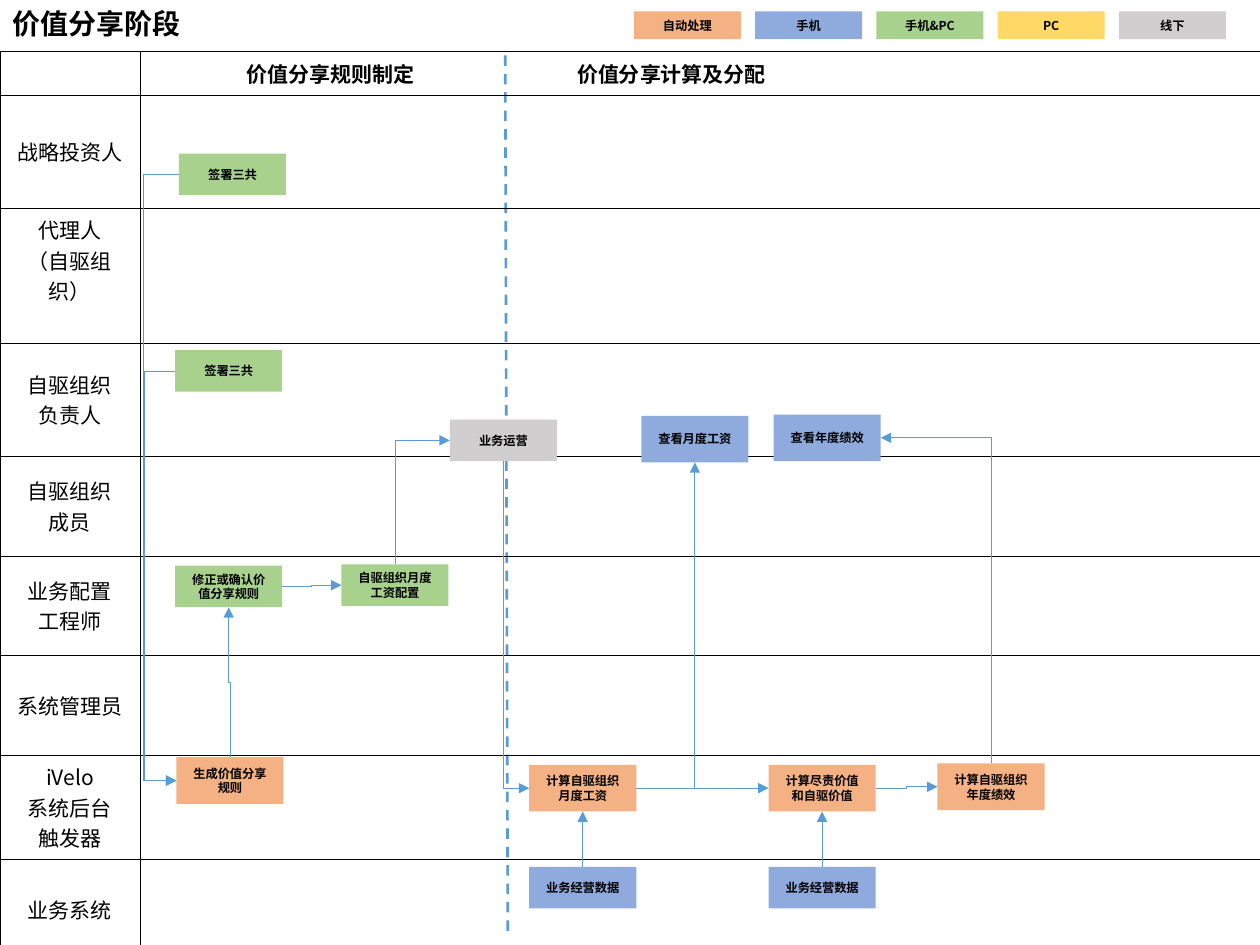
from lxml.etree import SubElement
from pptx import Presentation
from pptx.dml.color import RGBColor
from pptx.enum.dml import MSO_LINE
from pptx.enum.shapes import MSO_CONNECTOR, MSO_SHAPE
from pptx.enum.text import MSO_ANCHOR, PP_ALIGN
from pptx.oxml.ns import qn
from pptx.util import Inches, Pt

FONT = "Noto Sans CJK SC"
COLORS = {"auto": "F4B183", "phone": "8FAADC", "both": "A9D18E", "pc": "FFD966",
          "offline": "D0CECE", "line": "5B9BD5", "text": "000000"}
NODE_WIDTH = 0.85
SITES = {"top": 0, "left": 1, "bottom": 2, "right": 3}

LEGEND = [("自动处理", "auto"), ("手机", "phone"), ("手机&PC", "both"),
          ("PC", "pc"), ("线下", "offline")]
LANES = [(["战略投资人"], 0.9), (["代理人", "（自驱组织）"], 1.07),
         (["自驱组织", "负责人"], 0.9), (["自驱组织", "成员"], 0.79),
         (["业务配置", "工程师"], 0.79), (["系统管理员"], 0.79),
         (["iVelo", "系统后台", "触发器"], 0.83), (["业务系统"], 0.79)]
PHASES = [("价值分享规则制定", 0.75), ("价值分享计算及分配", 3.37)]

# name: (text, colour, left, top, height), measured from the swimlane corner
NODES = {
    "investor_sign": ("签署三共", "both", 1.42, 0.81, 0.33),
    "leader_sign": ("签署三共", "both", 1.39, 2.37, 0.33),
    "confirm_rules": ("修正或确认价值分享规则", "both", 1.39, 4.08, 0.33),
    "create_rules": ("生成价值分享规则", "auto", 1.40, 5.60, 0.37),
    "wage_setup": ("自驱组织月度工资配置", "both", 2.71, 4.07, 0.33),
    "operation": ("业务运营", "offline", 3.57, 2.92, 0.33),
    "monthly_wage": ("计算自驱组织月度工资", "auto", 4.20, 5.66, 0.37),
    "wage_data": ("业务经营数据", "phone", 4.20, 6.47, 0.33),
    "view_wage": ("查看月度工资", "phone", 5.09, 2.89, 0.37),
    "duty_value": ("计算尽责价值和自驱价值", "auto", 6.10, 5.66, 0.37),
    "value_data": ("业务经营数据", "phone", 6.10, 6.47, 0.33),
    "view_result": ("查看年度绩效", "phone", 6.14, 2.88, 0.37),
    "annual_result": ("计算自驱组织年度绩效", "auto", 7.44, 5.65, 0.37),
}
# source, side, target, side, distance of the bend left of the source
LINKS = [
    ("leader_sign", "left", "create_rules", "left", 0.25),
    ("investor_sign", "left", "create_rules", "left", 0.28),
    ("create_rules", "top", "confirm_rules", "bottom", None),
    ("confirm_rules", "right", "wage_setup", "left", None),
    ("wage_setup", "top", "operation", "left", None),
    ("wage_data", "top", "monthly_wage", "bottom", None),
    ("operation", "bottom", "monthly_wage", "left", None),
    ("monthly_wage", "right", "view_wage", "bottom", None),
    ("value_data", "top", "duty_value", "bottom", None),
    ("annual_result", "top", "view_result", "right", None),
    ("monthly_wage", "right", "duty_value", "left", None),
    ("duty_value", "right", "annual_result", "left", None),
]


def add_text(paragraph, text, size, bold=False):
    """Append one formatted run."""
    run = paragraph.add_run()
    run.text = text
    run.font.size, run.font.bold, run.font.name = Pt(size), bold, FONT
    run.font.color.rgb = RGBColor.from_string(COLORS["text"])
    SubElement(run.font._element, qn("a:ea"), typeface=FONT)


def add_node(slide, text, color, left, top, height):
    """Add a coloured process box with its caption."""
    shape = slide.shapes.add_shape(MSO_SHAPE.RECTANGLE, Inches(left), Inches(top),
                                   Inches(NODE_WIDTH), Inches(height))
    shape.shadow.inherit = False
    shape.fill.solid()
    shape.fill.fore_color.rgb = RGBColor.from_string(COLORS[color])
    shape.line.fill.background()
    shape.text_frame.vertical_anchor = MSO_ANCHOR.MIDDLE
    paragraph = shape.text_frame.paragraphs[0]
    paragraph.alignment = PP_ALIGN.CENTER
    add_text(paragraph, text, 7, True)
    return shape


def style_line(connector, width):
    """Give a connector its colour and width, without shadow."""
    connector.line.color.rgb = RGBColor.from_string(COLORS["line"])
    connector.line.width = Pt(width)
    SubElement(connector.element.spPr, qn("a:effectLst"))


def add_title(slide, left, top, width, height):
    """Place the slide title."""
    title = slide.shapes.title
    title.left, title.top = Inches(left), Inches(top)
    title.width, title.height = Inches(width), Inches(height)
    title.text_frame.vertical_anchor = MSO_ANCHOR.MIDDLE
    paragraph = title.text_frame.paragraphs[0]
    paragraph.alignment, paragraph.line_spacing = PP_ALIGN.LEFT, 0.9
    add_text(paragraph, "价值分享阶段", 16, True)


def add_legend(slide, left, top, width):
    """Spread the colour keys evenly over the width."""
    step = (width - NODE_WIDTH) / (len(LEGEND) - 1)
    for index, (text, color) in enumerate(LEGEND):
        add_node(slide, text, color, left + index * step, top, 0.22)


def add_phase_divider(slide, left, top):
    """Draw the dashed line between the two phases."""
    divider = slide.shapes.add_connector(MSO_CONNECTOR.STRAIGHT, Inches(left + 4.01),
                                         Inches(top + 0.03), Inches(left + 4.03), Inches(top + 7.01))
    style_line(divider, 1.5)
    divider.line.dash_style = MSO_LINE.DASH


def format_cell(cell):
    """Clear the fill and draw thin borders on all sides."""
    cell.vertical_anchor = MSO_ANCHOR.MIDDLE
    properties = cell._tc.get_or_add_tcPr()
    for side in ("lnL", "lnR", "lnT", "lnB"):
        border = SubElement(properties, qn(f"a:{side}"), w=str(Pt(0.25)))
        fill = SubElement(border, qn("a:solidFill"))
        SubElement(fill, qn("a:srgbClr"), val=COLORS["text"])
    cell.fill.background()


def add_lanes(slide, left, top, width):
    """Build the swimlane table with phase headings and role names."""
    heights = [0.34] + [height for _, height in LANES]
    table = slide.shapes.add_table(len(heights), 2, Inches(left), Inches(top),
                                   Inches(width), Inches(sum(heights))).table
    table.first_row = table.horz_banding = False
    for column, size in zip(table.columns, (1.11, width - 1.11)):
        column.width = Inches(size)
    for row, height in zip(table.rows, heights):
        row.height = Inches(height)
    for cell in table.iter_cells():
        format_cell(cell)
    corner = table.cell(0, 0).text_frame.paragraphs[0]
    SubElement(corner._p, qn("a:endParaRPr"), sz="1200")
    heading = table.cell(0, 1).text_frame.paragraphs[0]
    tabs = SubElement(heading._p.get_or_add_pPr(), qn("a:tabLst"))
    for text, position in PHASES:
        SubElement(tabs, qn("a:tab"), pos=str(Inches(position)), algn="l")
        add_text(heading, "\t" + text, 12, True)
    for row, (lines, _) in enumerate(LANES, 1):
        frame = table.cell(row, 0).text_frame
        for index, line in enumerate(lines):
            paragraph = frame.add_paragraph() if index else frame.paragraphs[0]
            paragraph.alignment = PP_ALIGN.CENTER
            add_text(paragraph, line, 12)
    table.cell(2, 0).vertical_anchor = MSO_ANCHOR.TOP


def add_link(slide, source, source_side, target, target_side, offset):
    """Join two boxes with an elbow arrow leaving along the source side's axis."""
    connector = slide.shapes.add_connector(MSO_CONNECTOR.ELBOW, 0, 0, 0, 0)
    connector.begin_connect(source, SITES[source_side])
    connector.end_connect(target, SITES[target_side])
    x, y = connector.begin_x, connector.begin_y
    dx, dy = connector.end_x - x, connector.end_y - y
    vertical = source_side in ("top", "bottom")
    if vertical:
        rotation, flip = (90, dx > 0) if dy > 0 else (270, dx < 0)
        width, height = abs(dy), abs(dx)
    else:
        rotation, flip = (0, dy < 0) if dx > 0 else (180, dy > 0)
        width, height = abs(dx), abs(dy)
    connector.left, connector.top = x + (dx - width) // 2, y + (dy - height) // 2
    connector.width, connector.height = width, height
    frame = connector.element.spPr.find(qn("a:xfrm"))
    frame.set("rot", str(rotation * 60000))
    frame.set("flipH", "0")
    frame.set("flipV", str(int(flip)))
    geometry = connector.element.spPr.find(qn("a:prstGeom"))
    if vertical != (target_side in ("top", "bottom")):
        geometry.set("prst", "bentConnector2")
    else:
        bend = -Inches(offset) / dx if offset else 0.5
        SubElement(geometry.find(qn("a:avLst")), qn("a:gd"), name="adj1",
                   fmla=f"val {round(bend * 100000)}")
    style_line(connector, 0.5)
    SubElement(connector.line._get_or_add_ln(), qn("a:tailEnd"), type="triangle")


def add_flow(slide, left, top):
    """Place the process boxes and their arrows over the lanes."""
    nodes = {name: add_node(slide, text, color, left + x, top + y, height)
             for name, (text, color, x, y, height) in NODES.items()}
    for source, source_side, target, target_side, offset in LINKS:
        add_link(slide, nodes[source], source_side, nodes[target], target_side, offset)


presentation = Presentation()
presentation.slide_width, presentation.slide_height = Inches(10), Inches(7.5)
slide = presentation.slides.add_slide(presentation.slide_layouts[5])
add_title(slide, 0, 0.01, 2.09, 0.39)
add_legend(slide, 5.03, 0.09, 4.7)
add_phase_divider(slide, 0, 0.41)
add_lanes(slide, 0, 0.41, 10)
add_flow(slide, 0, 0.41)
presentation.save("out.pptx")
